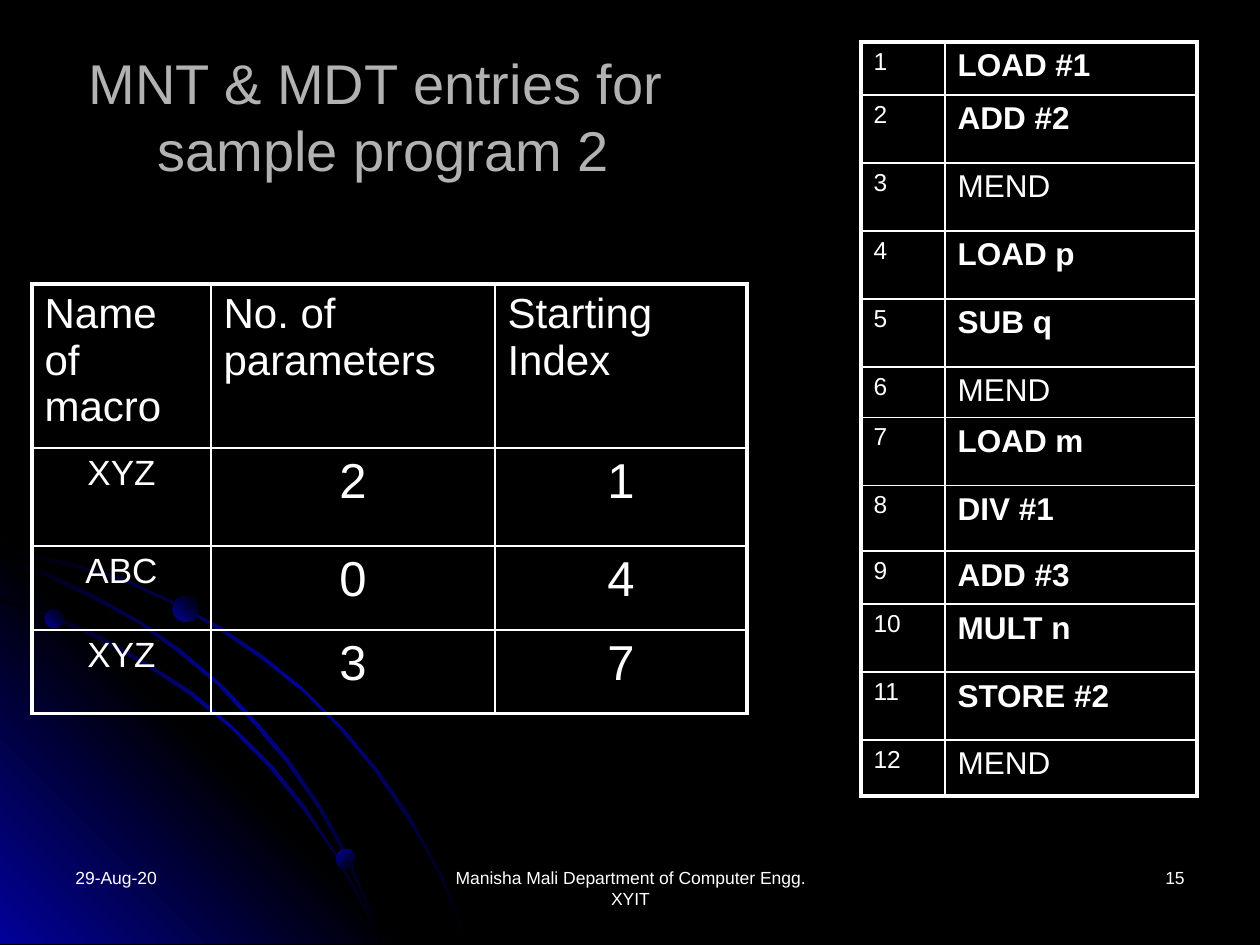
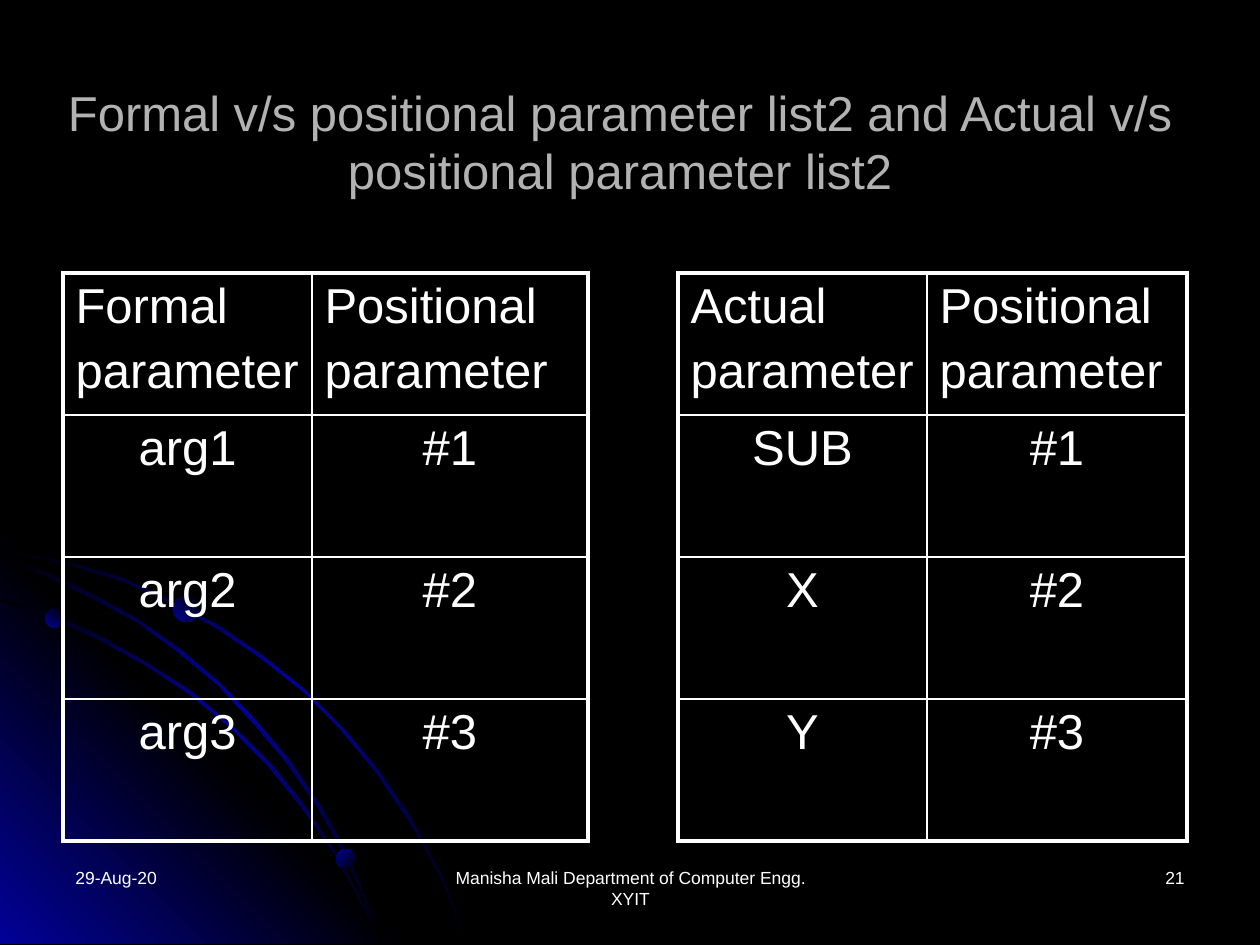
from lxml import etree
from pptx import Presentation
from pptx.dml.color import RGBColor
from pptx.enum.shapes import MSO_SHAPE
from pptx.enum.text import MSO_ANCHOR, MSO_AUTO_SIZE, PP_ALIGN
from pptx.oxml.ns import qn
from pptx.util import Pt

PX = 914400 / 126
FONT = "Arial"
BLACK = RGBColor(0x00, 0x00, 0x00)
WHITE = RGBColor(0xFF, 0xFF, 0xFF)
GREY = RGBColor(0xB2, 0xB2, 0xB2)
BLUE = RGBColor(0x01, 0x01, 0x99)

LEFT, CENTER, RIGHT = PP_ALIGN.LEFT, PP_ALIGN.CENTER, PP_ALIGN.RIGHT
MIDDLE = MSO_ANCHOR.MIDDLE
NO_AUTOFIT = MSO_AUTO_SIZE.NONE
OVAL = MSO_SHAPE.OVAL

TITLE_ONLY = 5
THIN, THICK = 1, 2.25
DATE = "29-Aug-20"
FOOTER = "Manisha Mali Department of Computer Engg. XYIT"

OUTER_ARC = [
    (72, 563), (35, 556), (0, 548), (0, 552), (35, 558), (71, 566),
    (122, 581), (170, 602), (218, 629), (262, 659), (304, 692), (341, 730),
    (375, 771), (407, 818), (425, 848), (441, 879), (454, 911), (466, 944),
    (469, 944), (456, 911), (444, 879), (427, 848), (410, 816), (378, 770),
    (343, 728), (305, 690), (263, 656), (219, 626), (171, 601), (123, 578),
]
INNER_ARC = [
    (359, 900), (370, 922), (379, 944), (382, 944), (373, 920), (360, 897),
    (335, 852), (305, 806), (271, 764), (232, 726), (192, 692), (147, 663),
    (100, 636), (52, 615), (0, 599), (0, 601), (49, 617), (97, 639),
    (145, 665), (189, 694), (231, 728), (268, 766), (302, 808), (334, 853),
]
MIDDLE_ARC = [
    (0, 557), (0, 559), (45, 576), (93, 599), (137, 622), (179, 653),
    (218, 685), (255, 725), (286, 762), (318, 808), (336, 840), (353, 874),
    (368, 910), (379, 944), (382, 944), (370, 907), (355, 873), (339, 838),
    (320, 805), (289, 760), (257, 722), (221, 684), (181, 650), (140, 621),
    (96, 596), (49, 573),
]
CORNER = [(405, 944), (0, 944), (0, 538)]
BALLS = [(45, 609, 19, 315), (336, 849, 20, 45), (173, 596, 26, 315)]

MACROS = [
    ["Name of macro", "No. of parameters", "Starting Index"],
    ["XYZ", "2", "1"],
    ["ABC", "0", "4"],
    ["XYZ", "3", "7"],
]
DEFINITIONS = [
    "LOAD #1", "ADD #2", "MEND", "LOAD p", "SUB q", "MEND",
    "LOAD m", "DIV #1", "ADD #3", "MULT n", "STORE #2", "MEND",
]
DEFINITION_ROWS = [53, 68, 68, 68, 68, 48, 68, 66, 53, 68, 68, 56]


def px(*values):
    """Turn pixels into a list of EMU lengths."""
    return [round(v * PX) for v in values]


def format_text(tf, size, color=WHITE, align=LEFT, bold=False, before=0):
    """Give every paragraph and run of a frame the same look."""
    for p in tf.paragraphs:
        p.alignment = align
        p.space_before = Pt(before)
        for r in p.runs:
            r.font.name = FONT
            r.font.size = Pt(size)
            r.font.bold = bold
            r.font.color.rgb = color


def fill_gradient(sp, colors, angle):
    """Fill a shape with evenly spaced gradient stops and no line."""
    sp.shadow.inherit = False
    sp.line.fill.background()
    sp.fill.gradient()
    sp.fill.gradient_angle = 360 - angle
    stops = sp.element.spPr.find(".//" + qn("a:gsLst"))
    for stop in list(stops):
        stops.remove(stop)
    for i, color in enumerate(colors):
        pos = str(i * 100000 // (len(colors) - 1))
        stop = etree.SubElement(stops, qn("a:gs"), pos=pos)
        etree.SubElement(stop, qn("a:srgbClr"), val=str(color))


def add_outline(slide, points, colors, angle):
    """Draw a closed gradient outline through pixel points."""
    builder = slide.shapes.build_freeform(*points[0], scale=PX)
    builder.add_line_segments(points[1:], close=True)
    sp = builder.convert_to_shape()
    fill_gradient(sp, colors, angle)
    return sp


def add_ball(slide, x, y, d, angle):
    """Draw a small shaded ball."""
    sp = slide.shapes.add_shape(OVAL, *px(x, y, d, d))
    fill_gradient(sp, [BLUE, BLACK], angle)
    return sp


def decorate_layout(layout, slide):
    """Draw the comet trails and move them behind the layout's content."""
    glow = [BLACK, BLUE, BLACK]
    shapes = [
        add_outline(slide, OUTER_ARC, glow, 45),
        add_outline(slide, CORNER, [BLUE, BLACK, BLUE], 315),
        add_outline(slide, INNER_ARC, glow, 45),
        add_outline(slide, MIDDLE_ARC, glow, 45),
    ]
    shapes += [add_ball(slide, *ball) for ball in BALLS]
    for i, sp in enumerate(shapes):
        sp.element.nvSpPr.cNvPr.set("id", str(20 + i))
        layout.shapes.element.insert(2 + i, sp.element)


def set_title(slide, text, box, size):
    """Fill and place the title placeholder."""
    sp = slide.shapes.title
    sp.left, sp.top, sp.width, sp.height = px(*box)
    tf = sp.text_frame
    tf.text = text
    tf.word_wrap = True
    tf.auto_size = NO_AUTOFIT
    tf.vertical_anchor = MIDDLE
    format_text(tf, size, GREY, CENTER)


def add_footers(slide, number):
    """Add the date, the footer and the slide number."""
    items = [(DATE, 63, 294, LEFT), (FOOTER, 431, 399, CENTER),
             (str(number), 903, 294, RIGHT)]
    for text, x, w, align in items:
        tf = slide.shapes.add_textbox(*px(x, 861, w, 63)).text_frame
        tf.word_wrap = True
        tf.text = text
        format_text(tf, 10, align=align)


def set_borders(cell, widths):
    """Set the left, right, top and bottom lines of a cell."""
    tcPr = cell._tc.get_or_add_tcPr()
    for i, (side, width) in enumerate(zip("LRTB", widths)):
        ln = etree.Element(qn("a:ln" + side), w=str(Pt(width)))
        fill = etree.SubElement(ln, qn("a:solidFill"))
        etree.SubElement(fill, qn("a:srgbClr"), val=str(WHITE))
        tcPr.insert(i, ln)


def add_grid(slide, x, y, cols, rows, data, style):
    """Add a ruled table; style maps row, column and text to a look."""
    box = px(x, y, sum(cols), sum(rows))
    table = slide.shapes.add_table(len(rows), len(cols), *box).table
    table.first_row = table.horz_banding = False
    for column, w in zip(table.columns, px(*cols)):
        column.width = w
    for row, h in zip(table.rows, px(*rows)):
        row.height = h
    for r, line in enumerate(data):
        for c, text in enumerate(line):
            cell = table.cell(r, c)
            cell.text = text
            cell.fill.background()
            size, align, bold = style(r, c, text)
            format_text(cell.text_frame, size, WHITE, align, bold, size / 5)
            edges = [c == 0, c == len(cols) - 1, r == 0, r == len(rows) - 1]
            set_borders(cell, [THICK if edge else THIN for edge in edges])


def macro_style(r, c, text):
    """Style the macro name table."""
    if r == 0:
        return 24, LEFT, False
    return (20 if c == 0 else 28), CENTER, False


def definition_style(r, c, text):
    """Style the macro definition table."""
    return (14 if c == 0 else 18), LEFT, c == 1 and text != "MEND"


def parameter_style(r, c, text):
    """Style the parameter tables."""
    return 28, (CENTER if r else LEFT), False


def add_parameters(slide, x, cols, kind, names):
    """Add a table that pairs parameters with their positions."""
    data = [[kind + "\nparameter", "Positional\nparameter"]]
    data += [[name, f"#{i}"] for i, name in enumerate(names, 1)]
    add_grid(slide, x, 273, cols, [142] * len(data), data, parameter_style)


def main():
    """Build both slides and save them."""
    prs = Presentation()
    prs.slide_width, prs.slide_height = px(1260, 945)
    background = prs.slide_master.background.fill
    background.solid()
    background.fore_color.rgb = BLACK
    layout = prs.slide_layouts[TITLE_ONLY]

    slide = prs.slides.add_slide(layout)
    decorate_layout(layout, slide)
    add_footers(slide, 15)
    set_title(slide, "MNT & MDT entries for \vsample program 2",
              (32, 42, 703, 147), 32)
    add_grid(slide, 32, 284, [179, 284, 252], [155, 98, 84, 84],
             MACROS, macro_style)
    numbered = [[str(i), text] for i, text in enumerate(DEFINITIONS, 1)]
    add_grid(slide, 861, 42, [84, 252], DEFINITION_ROWS,
             numbered, definition_style)

    slide = prs.slides.add_slide(layout)
    add_footers(slide, 21)
    set_title(slide, "Formal v/s positional parameter list2 and "
              "Actual v/s positional parameter list2",
              (53, 42, 1134, 198), 28)
    add_parameters(slide, 63, [249, 276], "Formal", ["arg1", "arg2", "arg3"])
    add_parameters(slide, 678, [249, 260], "Actual", ["SUB", "X", "Y"])

    prs.save("out.pptx")


main()
